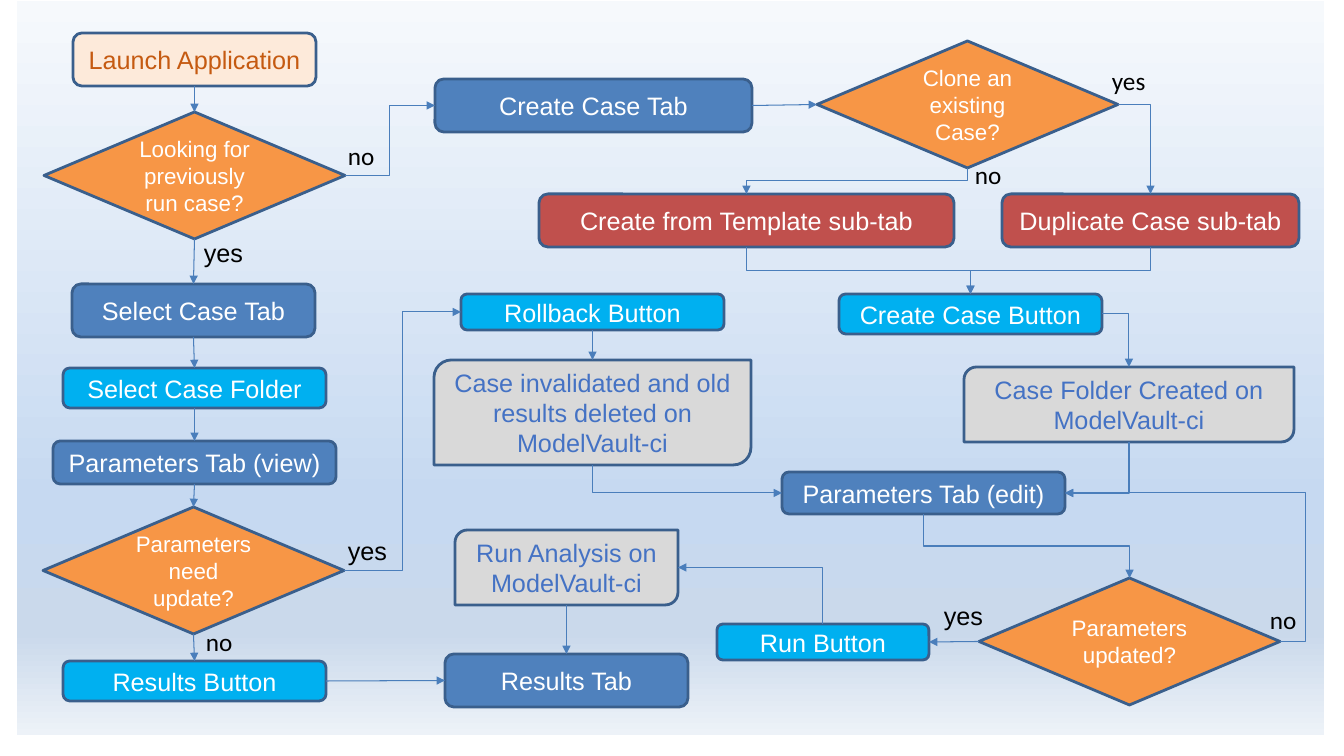
from dataclasses import dataclass

from lxml import etree
from pptx import Presentation
from pptx.dml.color import RGBColor
from pptx.enum.shapes import MSO_CONNECTOR, MSO_SHAPE
from pptx.enum.text import MSO_ANCHOR, PP_ALIGN
from pptx.oxml.ns import qn
from pptx.util import Pt

RECT = MSO_SHAPE.RECTANGLE
ROUND = MSO_SHAPE.ROUNDED_RECTANGLE
DIAMOND = MSO_SHAPE.DIAMOND
LEAF = MSO_SHAPE.ROUND_2_DIAG_RECTANGLE
STRAIGHT, ELBOW = MSO_CONNECTOR.STRAIGHT, MSO_CONNECTOR.ELBOW
CENTER, LEFT = PP_ALIGN.CENTER, PP_ALIGN.LEFT
MIDDLE, TOP = MSO_ANCHOR.MIDDLE, MSO_ANCHOR.TOP

EMU_PER_PIXEL = 12192000 / 1344
PAGE_SIZE = (1344, 756)


@dataclass(frozen=True)
class Theme:
    """Colours, fonts and sizes of the flowchart."""
    outline: str = "3A5F8C"
    arrow: str = "4A7EBB"
    label: str = "000000"
    backdrop: tuple = ((0, "F6F9FC"), (68, "C6D9F1"), (86, "CAD9EB"), (100, "EDF2F8"))
    font: str = "Arial"
    label_font: str = "Calibri"
    size: int = 18
    outline_width: float = 2
    arrow_width: float = 0.75


THEME = Theme()

# kind: (shape, fill, text colour, text size)
KINDS = {
    "start": (ROUND, "FDEADA", "C55A11", THEME.size),
    "tab": (ROUND, "4F81BD", "FFFFFF", THEME.size),
    "subtab": (ROUND, "C0504D", "FFFFFF", THEME.size),
    "button": (ROUND, "00B0F0", "FFFFFF", THEME.size),
    "decision": (DIAMOND, "F79646", "FFFFFF", 16),
    "event": (LEAF, "D9D9D9", "4472C4", THEME.size),
}

# name: (kind, left, top, width, height, text)
STEPS = {
    "launch": ("start", 73, 33, 243, 53, "Launch Application"),
    "looking": ("decision", 44, 112, 301, 127, "Looking for previously run case?"),
    "select_tab": ("tab", 72, 284, 243, 53, "Select Case Tab"),
    "select_folder": ("button", 63, 368, 263, 40, "Select Case Folder"),
    "view": ("tab", 53, 441, 283, 43, "Parameters Tab (view)"),
    "need_update": ("decision", 43, 507, 301, 127, "Parameters need update?"),
    "results_button": ("button", 63, 661, 263, 40, "Results Button"),
    "create_tab": ("tab", 435, 79, 317, 53, "Create Case Tab"),
    "clone": ("decision", 817, 41, 301, 127, "Clone an existing Case?"),
    "template": ("subtab", 539, 194, 415, 53, "Create from Template sub-tab"),
    "duplicate": ("subtab", 1002, 194, 297, 53, "Duplicate Case sub-tab"),
    "create_button": ("button", 839, 294, 263, 40, "Create Case Button"),
    "folder_created": ("event", 964, 367, 330, 75, "Case Folder Created on\nModelVault-ci"),
    "rollback": ("button", 461, 294, 263, 36, "Rollback Button"),
    "invalidated": ("event", 434, 360, 317, 105,
                    "Case invalidated and old results deleted on ModelVault-ci"),
    "edit": ("tab", 782, 472, 283, 42, "Parameters Tab (edit)"),
    "updated": ("decision", 979, 578, 301, 127, "Parameters updated?"),
    "run_button": ("button", 717, 624, 212, 36, "Run Button"),
    "run_analysis": ("event", 455, 530, 223, 75, "Run Analysis on\nModelVault-ci"),
    "results_tab": ("tab", 445, 654, 243, 53, "Results Tab"),
}

# (from, side, to, side, position of the middle bend)
ARROWS = [
    ("launch", "bottom", "looking", "top", None),
    ("looking", "bottom", "select_tab", "top", None),
    ("select_tab", "bottom", "select_folder", "top", None),
    ("select_folder", "bottom", "view", "top", None),
    ("view", "bottom", "need_update", "top", None),
    ("need_update", "bottom", "results_button", "top", None),
    ("results_button", "right", "results_tab", "left", None),
    ("create_tab", "right", "clone", "left", None),
    ("rollback", "bottom", "invalidated", "top", None),
    ("updated", "left", "run_button", "right", None),
    ("run_analysis", "bottom", "results_tab", "top", None),
    ("looking", "right", "create_tab", "left", 0.5),
    ("need_update", "right", "rollback", "left", 0.5),
    ("clone", "bottom", "template", "top", 0.5),
    ("clone", "right", "duplicate", "top", 0.5),
    ("template", "bottom", "create_button", "top", 0.5),
    ("duplicate", "bottom", "create_button", "top", 0.5),
    ("create_button", "right", "folder_created", "top", 0.5),
    ("invalidated", "bottom", "edit", "left", 0.5),
    ("folder_created", "bottom", "edit", "right", 0.5),
    ("edit", "bottom", "updated", "top", 0.5),
    ("updated", "right", "edit", "right", -0.12),
    ("run_button", "top", "run_analysis", "right", 0.5),
]

# (text, left, top, width, font)
ANSWERS = [
    ("yes", 194, 232, 62, THEME.font), ("no", 338, 135, 62, THEME.label_font),
    ("no", 965, 154, 62, THEME.label_font), ("yes", 1102, 60, 113, THEME.label_font),
    ("no", 196, 621, 62, THEME.label_font), ("yes", 338, 530, 62, THEME.font),
    ("yes", 934, 595, 62, THEME.font), ("no", 1260, 599, 62, THEME.label_font),
]

# side: (x share, y share, site on most shapes, site on a leaf)
SIDES = {"top": (0.5, 0, 0, 3), "left": (0, 0.5, 1, 2),
         "bottom": (0.5, 1, 2, 1), "right": (1, 0.5, 3, 0)}


def px(*lengths):
    """Turn pixel lengths into EMU."""
    return [round(length * EMU_PER_PIXEL) for length in lengths]


def write(box, text, font, size, color, align, anchor):
    """Put formatted paragraphs into a shape."""
    frame = box.text_frame
    frame.word_wrap, frame.vertical_anchor = True, anchor
    frame.text = text
    for para in frame.paragraphs:
        para.alignment = align
        for span in para.runs:
            for name, value in {"name": font, "size": Pt(size)}.items():
                setattr(span.font, name, value)
            span.font.color.rgb = RGBColor.from_string(color)


def add_backdrop(page):
    """Draw the panel with its vertical gradient."""
    panel = page.shapes.add_shape(RECT, *px(17, 1, 1307, 734))
    panel.shadow.inherit = False
    panel.line.fill.background()
    panel.fill.gradient()
    panel.fill.gradient_angle = 270
    stops = panel._element.spPr.find(".//" + qn("a:gsLst"))
    for stop in list(stops):
        stops.remove(stop)
    for percent, color in THEME.backdrop:
        stop = etree.SubElement(stops, qn("a:gs"), pos=str(percent * 1000))
        etree.SubElement(stop, qn("a:srgbClr"), val=color)


def add_step(page, kind, left, top, width, height, text):
    """Draw one flowchart step."""
    shape, fill, color, size = KINDS[kind]
    box = page.shapes.add_shape(shape, *px(left, top, width, height))
    box.shadow.inherit = False
    box.fill.solid()
    box.fill.fore_color.rgb = RGBColor.from_string(fill)
    box.line.color.rgb = RGBColor.from_string(THEME.outline)
    box.line.width = Pt(THEME.outline_width)
    write(box, text, THEME.font, size, color, CENTER, MIDDLE)
    return box


def add_answer(page, text, left, top, width, font):
    """Write the answer beside a decision's arrow."""
    box = page.shapes.add_textbox(*px(left, top, width, 40))
    write(box, text, font, THEME.size, THEME.label, LEFT, TOP)


def anchor_point(box, side):
    """Return the middle of a box side and its connection site."""
    across, down, site, leaf_site = SIDES[side]
    point = (box.left + across * box.width, box.top + down * box.height)
    return point, leaf_site if box.auto_shape_type == LEAF else site


def add_arrow(page, source, source_side, target, target_side, bend):
    """Join two steps with a straight or bent arrow."""
    (x1, y1), start_site = anchor_point(source, source_side)
    (x2, y2), end_site = anchor_point(target, target_side)
    arrow = page.shapes.add_connector(STRAIGHT if bend is None else ELBOW, 0, 0, 0, 0)
    arrow.begin_connect(source, start_site)
    arrow.end_connect(target, end_site)
    properties = arrow._element.spPr
    vertical = source_side in ("top", "bottom")
    if bend is not None and vertical:
        # A bent line starts sideways, so one that leaves up or down is turned.
        dx, dy = x2 - x1, y2 - y1
        mid_x, mid_y = (x1 + x2) / 2, (y1 + y2) / 2
        turn = 1 if dx < 0 < dy else -1
        x1, y1 = mid_x - turn * dy / 2, mid_y + turn * dx / 2
        x2, y2 = mid_x + turn * dy / 2, mid_y - turn * dx / 2
        properties.find(qn("a:xfrm")).set("rot", str(turn * 90 % 360 * 60000))
    for name, value in {"begin_x": x1, "begin_y": y1, "end_x": x2, "end_y": y2}.items():
        setattr(arrow, name, round(value))
    if bend is not None:
        geometry = properties.find(qn("a:prstGeom"))
        if vertical != (target_side in ("top", "bottom")):
            geometry.set("prst", "bentConnector2")
        else:
            guides = geometry.find(qn("a:avLst"))
            etree.SubElement(guides, qn("a:gd"), name="adj1",
                             fmla=f"val {round(bend * 100000)}")
    arrow.line.color.rgb = RGBColor.from_string(THEME.arrow)
    arrow.line.width = Pt(THEME.arrow_width)
    etree.SubElement(properties.find(qn("a:ln")), qn("a:tailEnd"), type="triangle")
    etree.SubElement(properties, qn("a:effectLst"))


def main():
    """Build the flowchart page and save it."""
    deck = Presentation()
    deck.slide_width, deck.slide_height = px(*PAGE_SIZE)
    page = deck.slides.add_slide(deck.slide_layouts[6])
    add_backdrop(page)
    boxes = {name: add_step(page, *step) for name, step in STEPS.items()}
    for source, source_side, target, target_side, bend in ARROWS:
        add_arrow(page, boxes[source], source_side, boxes[target], target_side, bend)
    for answer in ANSWERS:
        add_answer(page, *answer)
    deck.save("out.pptx")


main()
